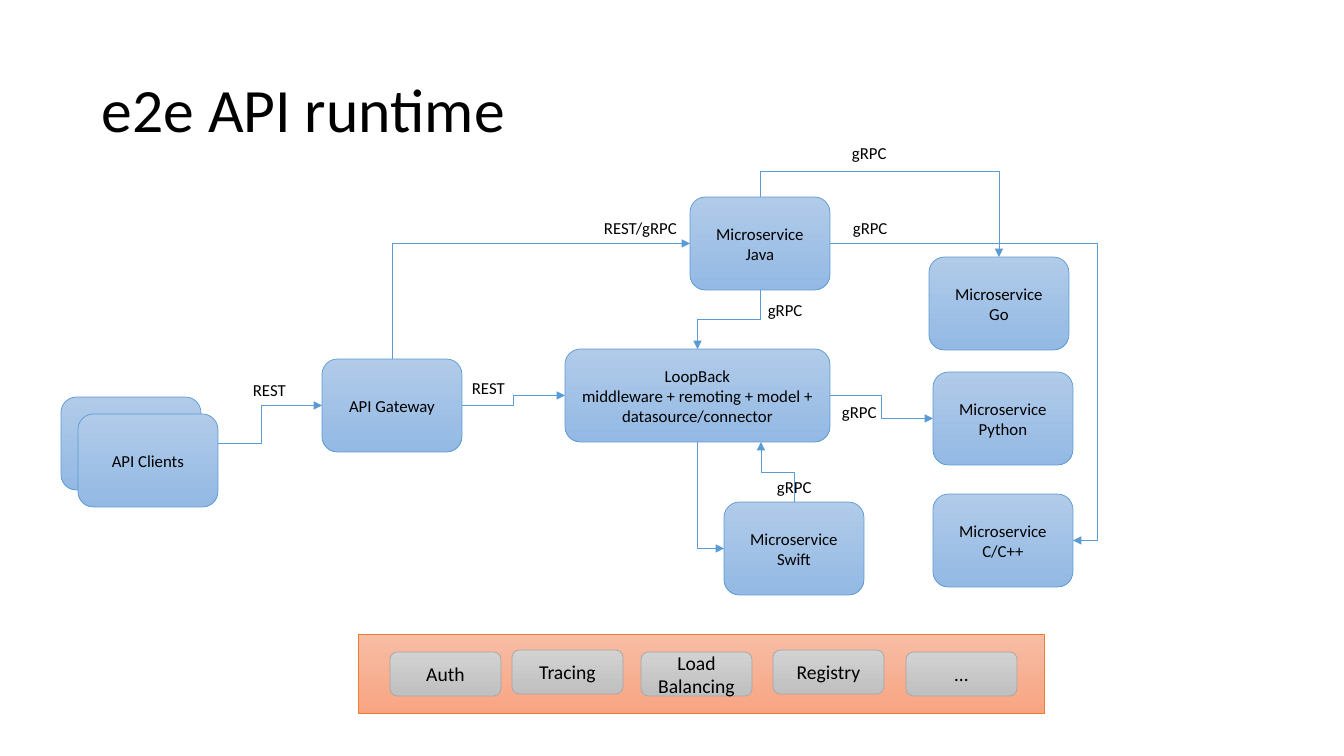
"""Builds the e2e API runtime architecture slide."""
from lxml import etree
from pptx import Presentation
from pptx.dml.color import RGBColor
from pptx.enum.shapes import MSO_CONNECTOR, MSO_SHAPE
from pptx.enum.text import MSO_ANCHOR, MSO_AUTO_SIZE, PP_ALIGN
from pptx.oxml.ns import qn
from pptx.util import Emu, Pt

ELBOW = MSO_CONNECTOR.ELBOW
RECTANGLE, ROUNDED = MSO_SHAPE.RECTANGLE, MSO_SHAPE.ROUNDED_RECTANGLE
MIDDLE, CENTER = MSO_ANCHOR.MIDDLE, PP_ALIGN.CENTER
FIT_TEXT = MSO_AUTO_SIZE.SHAPE_TO_FIT_TEXT
TOP, LEFT, BOTTOM, RIGHT = range(4)

PIXEL = 914400 / 100.8
FONT = "Calibri"
BLACK = RGBColor(0x00, 0x00, 0x00)
BLUE = RGBColor(0x5B, 0x9B, 0xD5)
BLUE_STYLE = (RGBColor(0xB1, 0xCB, 0xE9), RGBColor(0x93, 0xB9, 0xE4), BLUE)
ORANGE_STYLE = (RGBColor(0xF7, 0xBD, 0xA5), RGBColor(0xF8, 0xA5, 0x82), RGBColor(0xED, 0x7D, 0x31))
GRAY_STYLE = (RGBColor(0xD2, 0xD2, 0xD2), RGBColor(0xC0, 0xC0, 0xC0), RGBColor(0xA5, 0xA5, 0xA5))

NODE_WIDTH, NODE_HEIGHT = 140, 93
NODES = {
    "java": ("Microservice\nJava", 629, 59, NODE_WIDTH),
    "loopback": ("LoopBack\nmiddleware + remoting + model + datasource/connector", 504, 211, 265),
    "swift": ("Microservice\nSwift", 663, 364, NODE_WIDTH),
    "go": ("Microservice\nGo", 868, 119, NODE_WIDTH),
    "gateway": ("API Gateway", 261, 221, NODE_WIDTH),
    "python": ("Microservice\nPython", 872, 234, NODE_WIDTH),
    "c": ("Microservice\nC/C++", 872, 356, NODE_WIDTH),
    "clients": ("", 0, 259, NODE_WIDTH),
}
THREE_PART_LINKS = [
    ("java", RIGHT, "c", RIGHT, 1.1),
    ("loopback", RIGHT, "python", LEFT, 0.5),
    ("clients", RIGHT, "gateway", LEFT, 0.5),
    ("gateway", RIGHT, "loopback", LEFT, 0.5),
    ("java", BOTTOM, "loopback", TOP, 0.5),
    ("java", TOP, "go", TOP, -0.42),
]
CORNER_LINKS = [
    ("gateway", TOP, "java", LEFT, None),
    ("loopback", BOTTOM, "swift", LEFT, None),
]
LABELS = [
    ("REST", 182, 237, 53), ("REST", 401, 235, 53), ("REST/gRPC", 533, 75, 94),
    ("gRPC", 771, 259, 55), ("gRPC", 782, 75, 55), ("gRPC", 706, 334, 55),
    ("gRPC", 697, 157, 55), ("gRPC", 781, 0, 55),
]
SERVICES = [("Auth", 32, 18), ("Tracing", 154, 16), ("Load Balancing", 283, 18),
            ("Registry", 415, 16), ("…", 548, 18)]


def emu(*pixels):
    """Turn pixel lengths into EMU."""
    return [Emu(round(pixel * PIXEL)) for pixel in pixels]


def write(shape, text, size, alignment=None):
    """Set the text of a shape and format its runs."""
    shape.text_frame.text = text
    for paragraph in shape.text_frame.paragraphs:
        paragraph.alignment = alignment
        for run in paragraph.runs:
            run.font.size = Pt(size)
            run.font.name = FONT
            run.font.color.rgb = BLACK


def add_panel(slide, preset, box, style, text="", size=12):
    """Add a gradient-filled preset shape with centred text."""
    shape = slide.shapes.add_shape(preset, *emu(*box))
    shape.shadow.inherit = False
    shape.fill.gradient()
    shape.fill.gradient_angle = 270
    for stop, color in zip(shape.fill.gradient_stops, style):
        stop.color.rgb = color
    shape.line.color.rgb = style[-1]
    shape.line.width = Pt(0.5)
    shape.text_frame.word_wrap = True
    shape.text_frame.vertical_anchor = MIDDLE
    if text:
        write(shape, text, size, CENTER)
    return shape


def turn_vertical(connector):
    """Rotate an elbow so that it leaves its start vertically."""
    width = connector.end_x - connector.begin_x
    height = connector.end_y - connector.begin_y
    center_x = (connector.begin_x + connector.end_x) // 2
    center_y = (connector.begin_y + connector.end_y) // 2
    connector.begin_x = center_x - height // 2
    connector.end_x = connector.begin_x + height
    connector.begin_y = center_y + width // 2
    connector.end_y = connector.begin_y - width
    connector._element.spPr.find(qn("a:xfrm")).set("rot", "5400000")


def add_link(slide, source, source_site, target, target_site, bend, end=(0, 0)):
    """Add an elbow arrow from a shape to another shape or to a free end."""
    connector = slide.shapes.add_connector(ELBOW, *emu(0, 0, *end))
    connector.begin_connect(source, source_site)
    if target is not None:
        connector.end_connect(target, target_site)
    if source_site in (TOP, BOTTOM):
        turn_vertical(connector)
    connector.line.color.rgb = BLUE
    connector.line.width = Pt(0.5)
    properties = connector._element.spPr
    etree.SubElement(properties.find(qn("a:ln")), qn("a:tailEnd"), type="triangle")
    etree.SubElement(properties, qn("a:effectLst"))
    geometry = properties.find(qn("a:prstGeom"))
    if bend is None:
        geometry.set("prst", "bentConnector2")
    else:
        etree.SubElement(geometry.find(qn("a:avLst")), qn("a:gd"),
                         name="adj1", fmla=f"val {round(bend * 100000)}")


def add_title(slide, left, top, width, height):
    """Add the slide title."""
    title = slide.shapes.add_textbox(*emu(left, top, width, height))
    title.text_frame.word_wrap = True
    title.text_frame.vertical_anchor = MIDDLE
    write(title, "e2e API runtime", 44)
    title.text_frame.paragraphs[0].line_spacing = 0.9


def add_runtime_diagram(slide, left, top):
    """Add the clients, gateway and microservices with their links."""
    nodes = {
        name: add_panel(slide, ROUNDED, (left + x, top + y, width, NODE_HEIGHT), BLUE_STYLE, text)
        for name, (text, x, y, width) in NODES.items()
    }
    for source, source_site, target, target_site, bend in THREE_PART_LINKS + CORNER_LINKS:
        add_link(slide, nodes[source], source_site, nodes[target], target_site, bend)
    add_link(slide, nodes["swift"], TOP, None, None, 0.5, (left + 700, top + 304))
    add_panel(slide, ROUNDED, (left + 17, top + 276, NODE_WIDTH, NODE_HEIGHT),
              BLUE_STYLE, "API Clients")
    for text, x, y, width in LABELS:
        label = slide.shapes.add_textbox(*emu(left + x, top + y, width, 30))
        label.text_frame.word_wrap = False
        label.text_frame.auto_size = FIT_TEXT
        write(label, text, 12)


def add_service_bar(slide, left, top, width, height):
    """Add the bar of shared services."""
    add_panel(slide, RECTANGLE, (left, top, width, height), ORANGE_STYLE)
    for text, x, y in SERVICES:
        add_panel(slide, ROUNDED, (left + x, top + y, 111, 44), GRAY_STYLE, text, 14)


def main():
    """Build and save the presentation."""
    presentation = Presentation()
    presentation.slide_width, presentation.slide_height = emu(1344, 756)
    slide = presentation.slides.add_slide(presentation.slide_layouts[6])
    add_title(slide, 92, 40, 1159, 146)
    add_runtime_diagram(slide, 61, 138)
    add_service_bar(slide, 358, 634, 686, 79)
    presentation.save("out.pptx")


main()
